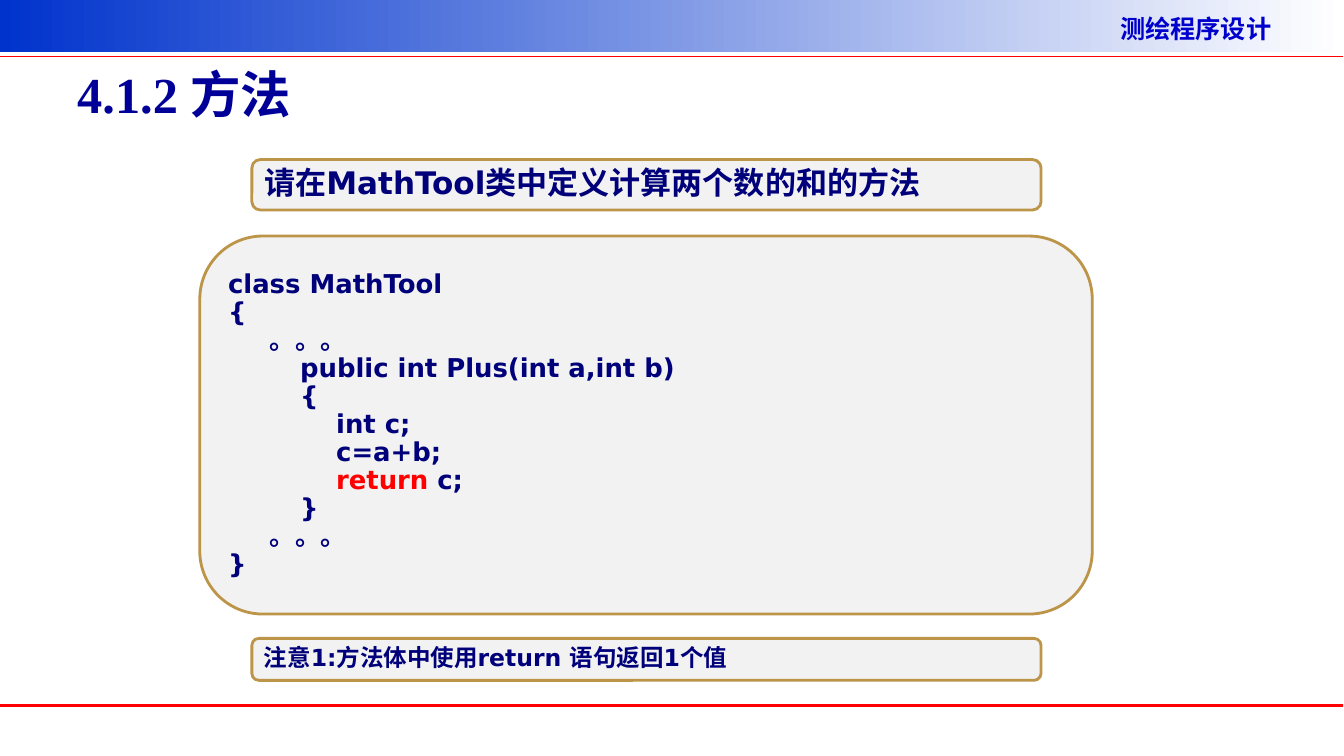
from dataclasses import dataclass
from lxml import etree
from pptx import Presentation
from pptx.dml.color import RGBColor
from pptx.enum.shapes import MSO_CONNECTOR, MSO_SHAPE
from pptx.enum.text import MSO_ANCHOR, MSO_AUTO_SIZE, PP_ALIGN
from pptx.oxml.ns import qn
from pptx.util import Inches, Pt


@dataclass(frozen=True)
class Theme:
    latin: str = "DejaVu Sans"
    cjk: str = "Noto Sans CJK SC"
    serif: str = "Times New Roman"
    banner: str = "0033CC"
    white: str = "FFFFFF"
    course: str = "0000CC"
    title: str = "000099"
    text: str = "00007A"
    panel: str = "F2F2F2"
    border: str = "BC9549"
    red: str = "FF0000"
    title_size: float = 36
    course_size: float = 18
    task_size: float = 22.2
    code_size: float = 18.5
    note_size: float = 16.8


theme = Theme()
rgb = RGBColor.from_string


def grid(*cells):
    """Turn columns and rows (twelve to the inch) into lengths."""
    return [Inches(c / 12) for c in cells]


def style_run(r, size, color, latin):
    r.font.size, r.font.bold, r.font.name = Pt(size), True, latin
    r.font.color.rgb = rgb(color)
    ea = etree.SubElement(r.font._element, qn("a:ea"))
    ea.set("typeface", theme.cjk)


prs = Presentation()
prs.slide_width, prs.slide_height = Inches(13.34), Inches(7.5)
s = prs.slides.add_slide(prs.slide_layouts[5])

# Banner fading to white
sp = s.shapes.add_shape(MSO_SHAPE.RECTANGLE, *grid(0, 0, 160, 6.25))
sp.shadow.inherit = False
sp.line.fill.background()
sp.fill.gradient()
sp.fill.gradient_angle = 0
for stop, color in zip(sp.fill.gradient_stops, (theme.banner, theme.white)):
    stop.color.rgb = rgb(color)

# Course name
tf = s.shapes.add_textbox(*grid(132.25, 1, 30, 4.75)).text_frame
tf.word_wrap = True
tf.text = "测绘程序设计"
style_run(tf.paragraphs[0].runs[0], theme.course_size, theme.course, theme.cjk)

# Rules under the banner and above the footer
for row, width in ((6.7, 1), (84, 2.25)):
    rule = s.shapes.add_connector(MSO_CONNECTOR.STRAIGHT, *grid(0, row, 160, row))
    rule.line.color.rgb = rgb(theme.red)
    rule.line.width = Pt(width)
    etree.SubElement(rule._element.spPr, qn("a:effectLst"))

# Title
title = s.shapes.title
title.left, title.top, title.width, title.height = grid(8, 3.6, 144, 15)
tf = title.text_frame
tf.text = "4.1.2 方法"
tf.auto_size = MSO_AUTO_SIZE.NONE
tf.vertical_anchor = MSO_ANCHOR.MIDDLE
p = tf.paragraphs[0]
p.alignment = PP_ALIGN.LEFT
style_run(p.runs[0], theme.title_size, theme.title, theme.serif)

# Task, code and note panels
code = """class MathTool
{
       。。。
        public int Plus(int a,int b)
        {
            int c;
            c=a+b;
            return c;
        }
       。。。
}"""
panels = [
    ((30, 19, 94, 6), "请在MathTool类中定义计算两个数的和的方法", theme.task_size, 0.9),
    ((23.8, 28.1, 106.3, 45), code, theme.code_size, 0.9),
    ((30, 76, 94, 5), "注意1:方法体中使用return 语句返回1个值", theme.note_size, 0.8),
]
keyword = "return"
for cells, text, size, spacing in panels:
    sp = s.shapes.add_shape(MSO_SHAPE.ROUNDED_RECTANGLE, *grid(*cells))
    sp.shadow.inherit = False
    sp.fill.solid()
    sp.fill.fore_color.rgb = rgb(theme.panel)
    sp.line.color.rgb = rgb(theme.border)
    sp.line.width = Pt(2)
    tf = sp.text_frame
    tf.word_wrap = True
    tf.vertical_anchor = MSO_ANCHOR.MIDDLE
    tf.text = text
    for p in tf.paragraphs:
        p.alignment = PP_ALIGN.LEFT
        p.line_spacing = spacing
        # The keyword stands out in red inside the code only
        if text == code and keyword in p.text:
            before, after = p.text.split(keyword)
            p.text = before
            for part in (keyword, after):
                p.add_run().text = part
        for r in p.runs:
            color = theme.red if r.text == keyword else theme.text
            style_run(r, size, color, theme.latin)

prs.save("out.pptx")
